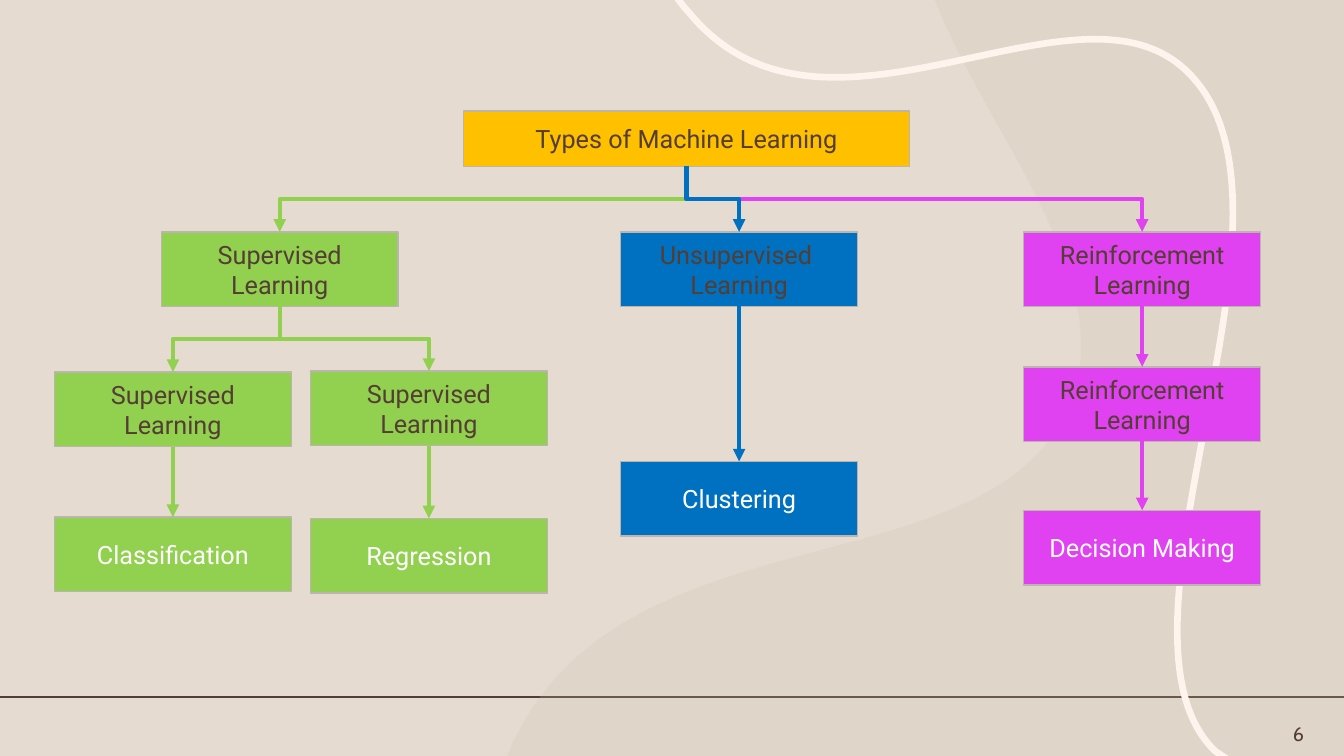
from pptx import Presentation
from pptx.dml.color import RGBColor
from pptx.enum.shapes import MSO_CONNECTOR as Link, MSO_SHAPE as Form
from pptx.enum.text import MSO_ANCHOR as Anchor, PP_ALIGN as Align
from pptx.oxml.ns import qn
from pptx.util import Inches, Pt
from lxml.etree import SubElement as Sub

BROWN = RGBColor(0x54, 0x3E, 0x34)
SAND = RGBColor(0xE6, 0xDB, 0xD0)
OLIVE = RGBColor(0xC6, 0xC4, 0xAF)
CREAM = RGBColor(0xFE, 0xF3, 0xED)
GREY = RGBColor(0xBC, 0xB4, 0xAF)
GOLD = RGBColor(0xFF, 0xC0, 0x00)
GREEN = RGBColor(0x92, 0xD0, 0x50)
BLUE = RGBColor(0x00, 0x70, 0xC0)
PINK = RGBColor(0xE0, 0x41, 0xF1)
WHITE = RGBColor(0xFF, 0xFF, 0xFF)

deck = Presentation()
deck.slide_width, deck.slide_height = Inches(13.33), Inches(7.5)
col, row = deck.slide_width / 100, deck.slide_height / 100
slide = deck.slides.add_slide(deck.slide_layouts[6])
slide.background.fill.solid()
slide.background.fill.fore_color.rgb = SAND
shapes = slide.shapes


def write(shape, text, size=18, font="Roboto", color=BROWN, align=Align.CENTER):
    frame = shape.text_frame
    frame.word_wrap = True
    frame.vertical_anchor = Anchor.MIDDLE
    para = frame.paragraphs[0]
    para.alignment = align
    run = para.add_run()
    run.text = text
    run.font.size = Pt(size)
    run.font.name = font
    run.font.color.rgb = color


def trace(start, parts, close):
    pen = shapes.build_freeform(start[0] * col, start[1] * row)
    pen.add_line_segments([(p[-1][0] * col, p[-1][1] * row) for p in parts], close=close)
    shape = pen.convert_to_shape()
    shape.shadow.inherit = False
    legs = list(shape._element.iter(qn("a:lnTo")))
    for leg, part in zip(legs, parts):
        if len(part) == 3:
            leg.tag = qn("a:cubicBezTo")
            for spot, (x, y) in enumerate(part[:2]):
                knob = Sub(leg, qn("a:pt"), x=str(int(x * col - shape.left)),
                           y=str(int(y * row - shape.top)))
                leg.insert(spot, knob)
    return shape


rule = shapes.add_connector(Link.STRAIGHT, 0, int(92.2 * row), deck.slide_width, int(92.2 * row))
rule.line.color.rgb = BROWN
rule.line.width = Pt(1.25)
Sub(rule._element.spPr, qn("a:effectLst"))

blob = trace((69.54, 0), [
    [(100, 0)], [(100, 100)], [(37.73, 100)], [(38.03, 98.67)],
    [(38.33, 97.47), (38.63, 96.67), (38.78, 96.13)],
    [(47.34, 68.27), (72.17, 77.07), (78.92, 55.87)],
    [(84.25, 39.47), (74.12, 19.47), (69.92, 1.6)],
], True)
blob.fill.solid()
blob.fill.fore_color.rgb = OLIVE
blob.line.fill.background()
tint = blob._element.spPr.find(qn("a:solidFill"))[0]
Sub(tint, qn("a:alpha"), val="20000")

wave = trace((91.3, 100.4), [
    [(91.07, 100.13)], [(90.4, 99.33)],
    [(81.32, 83.6), (98.05, 29.33), (88.9, 10.53)],
    [(80.87, -6.27), (61.52, 24), (51.24, 1.6)],
    [(51.01, 1.2), (50.71, 0.53), (50.34, -0.4)],
], False)
wave.fill.background()
wave.line.color.rgb = CREAM
wave.line.width = Pt(4.75)

page = shapes.add_textbox(int(89.72 * col), int(95.47 * row), int(8.03 * col), int(3.2 * row))
write(page, "6", size=14, font="Cabin", align=Align.RIGHT)

WIDE, TALL = 17.63, 9.87
nodes = {}
for name, text, x, y, w, h, fill, ink in [
    ("root", "Types of Machine Learning", 34.5, 14.67, 33.16, 7.33, GOLD, BROWN),
    ("sup", "Supervised Learning", 12, 30.67, WIDE, TALL, GREEN, BROWN),
    ("uns", "Unsupervised  Learning", 46.18, 30.67, WIDE, TALL, BLUE, BROWN),
    ("rein", "Reinforcement Learning", 76.17, 30.67, WIDE, TALL, PINK, BROWN),
    ("left", "Supervised Learning", 4.05, 49.2, WIDE, TALL, GREEN, BROWN),
    ("right", "Supervised Learning", 23.1, 49.07, WIDE, TALL, GREEN, BROWN),
    ("next", "Reinforcement Learning", 76.17, 48.53, WIDE, TALL, PINK, BROWN),
    ("class", "Classification", 4.05, 68.4, WIDE, TALL, GREEN, WHITE),
    ("regress", "Regression", 23.1, 68.57, WIDE, TALL, GREEN, WHITE),
    ("cluster", "Clustering", 46.18, 61.03, WIDE, TALL, BLUE, WHITE),
    ("choice", "Decision Making", 76.17, 67.5, WIDE, TALL, PINK, WHITE),
]:
    box = shapes.add_shape(Form.RECTANGLE, int(x * col), int(y * row), int(w * col), int(h * row))
    box.shadow.inherit = False
    box.fill.solid()
    box.fill.fore_color.rgb = fill
    box.line.color.rgb = GREY
    box.line.width = Pt(1)
    write(box, text, color=ink)
    nodes[name] = box

for top, low, color in [
    ("root", "rein", PINK), ("root", "sup", GREEN), ("root", "uns", BLUE),
    ("sup", "left", GREEN), ("sup", "right", GREEN),
    ("left", "class", GREEN), ("right", "regress", GREEN),
    ("uns", "cluster", BLUE), ("rein", "next", PINK), ("next", "choice", PINK),
]:
    bent = top in ("root", "sup")
    wire = shapes.add_connector(Link.ELBOW if bent else Link.STRAIGHT, 0, 0, 0, 0)
    wire.begin_connect(nodes[top], 2)
    wire.end_connect(nodes[low], 0)
    if bent:
        east = wire.end_x > wire.begin_x
        w, h = wire.width, wire.height
        wire.left += (w - h) // 2
        wire.top += (h - w) // 2
        wire.width, wire.height = h, w
        frame = wire._element.spPr.find(qn("a:xfrm"))
        frame.set("rot", "16200000" if east else "5400000")
        frame.set("flipH", "1" if east else "0")
    wire.line.color.rgb = color
    wire.line.width = Pt(3)
    Sub(wire.line._get_or_add_ln(), qn("a:tailEnd"), type="triangle")
    Sub(wire._element.spPr, qn("a:effectLst"))

deck.save("out.pptx")
